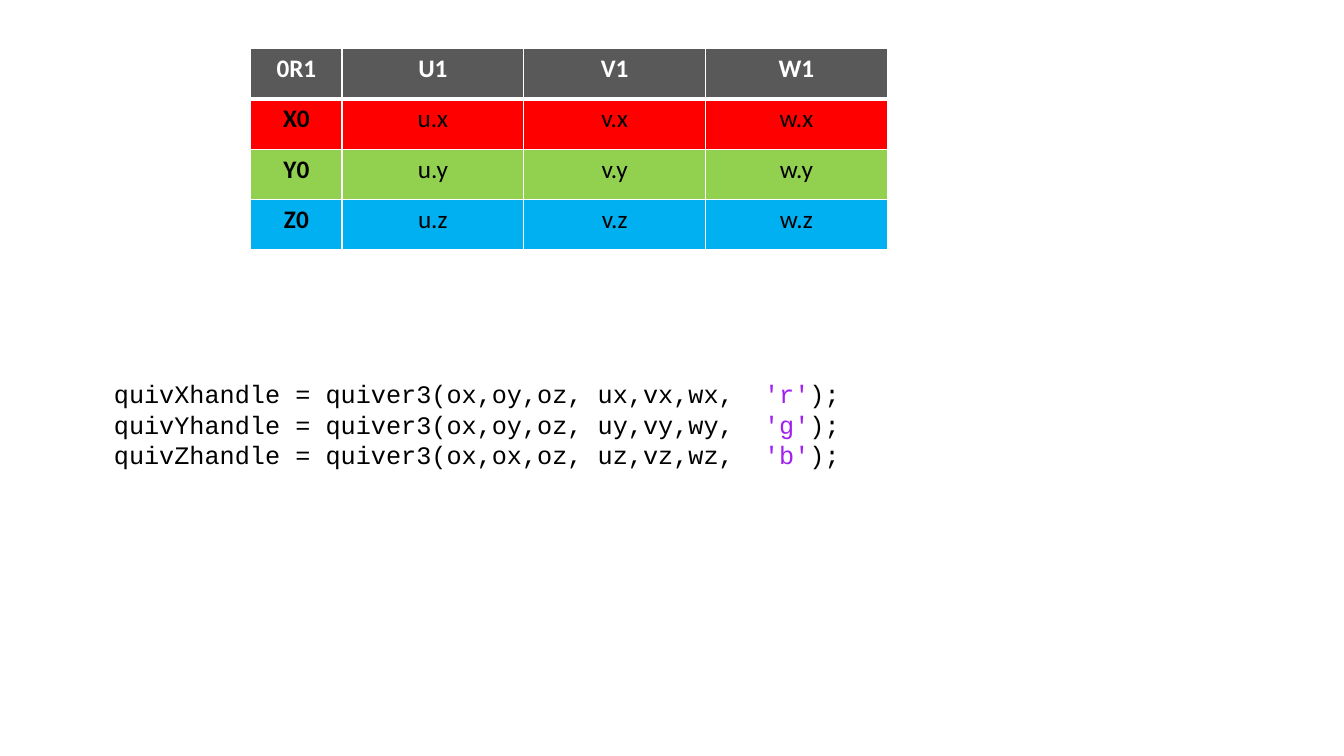
from lxml.etree import SubElement
from pptx import Presentation
from pptx.dml.color import RGBColor
from pptx.enum.text import MSO_AUTO_SIZE, PP_ALIGN
from pptx.oxml.ns import qn
from pptx.util import Cm, Pt

WHITE = RGBColor(0xFF, 0xFF, 0xFF)
BLACK = RGBColor(0x00, 0x00, 0x00)
GREY = RGBColor(0x59, 0x59, 0x59)
RED = RGBColor(0xFF, 0x00, 0x00)
GREEN = RGBColor(0x92, 0xD0, 0x50)
BLUE = RGBColor(0x00, 0xB0, 0xF0)
PURPLE = RGBColor(0xA0, 0x20, 0xF0)


class SlideBuilder:
    size = Pt(18)
    table_font = "Calibri"
    code_font = "Courier New"

    def __init__(self, slide):
        self.slide = slide

    def run(self, p, text, font, color, bold=False):
        r = p.add_run()
        r.text = text
        r.font.name = font
        r.font.size = self.size
        r.font.bold = bold
        r.font.color.rgb = color

    def border(self, cell, side, width):
        ln = SubElement(cell._tc.get_or_add_tcPr(), qn(f"a:ln{side}"), w=str(Pt(width)))
        fill = SubElement(ln, qn("a:solidFill"))
        SubElement(fill, qn("a:srgbClr"), val=str(WHITE))

    def table(self, left, top, widths, row_height, rows, fills):
        sp = self.slide.shapes.add_table(
            len(rows), len(widths), Cm(left), Cm(top),
            Cm(sum(widths)), Cm(row_height * len(rows)))
        table = sp.table
        for column, width in zip(table.columns, widths):
            column.width = Cm(width)
        for i, (texts, fill) in enumerate(zip(rows, fills)):
            table.rows[i].height = Cm(row_height)
            for j, text in enumerate(texts):
                cell = table.cell(i, j)
                for side in "LRTB":
                    under_header = (i, side) in ((0, "B"), (1, "T"))
                    self.border(cell, side, 3 if under_header else 1)
                cell.fill.solid()
                cell.fill.fore_color.rgb = fill
                p = cell.text_frame.paragraphs[0]
                p.alignment = PP_ALIGN.CENTER
                color = WHITE if i == 0 else BLACK
                self.run(p, text, self.table_font, color, i == 0 or j == 0)

    def code(self, left, top, width, height, lines):
        sp = self.slide.shapes.add_textbox(Cm(left), Cm(top), Cm(width), Cm(height))
        tf = sp.text_frame
        tf.word_wrap = True
        tf.auto_size = MSO_AUTO_SIZE.SHAPE_TO_FIT_TEXT
        for i, (call, color_arg) in enumerate(lines):
            p = tf.paragraphs[0] if i == 0 else tf.add_paragraph()
            self.run(p, call, self.code_font, BLACK)
            self.run(p, color_arg, self.code_font, PURPLE)
            self.run(p, ");", self.code_font, BLACK)


def main():
    prs = Presentation()
    prs.slide_width, prs.slide_height = Cm(33.87), Cm(19.05)
    builder = SlideBuilder(prs.slides.add_slide(prs.slide_layouts[6]))
    rotation_rows = [["0R1", "U1", "V1", "W1"]] + [
        [f"{axis.upper()}0"] + [f"{vector}.{axis}" for vector in "uvw"] for axis in "xyz"]
    builder.table(6.32, 1.22, [2.3] + [4.58] * 3, 1.27,
                  rotation_rows, [GREY, RED, GREEN, BLUE])
    builder.code(2.24, 9.42, 21.23, 2.57, [
        (" quivXhandle = quiver3(ox,oy,oz, ux,vx,wx,  ", "'r'"),
        (" quivYhandle = quiver3(ox,oy,oz, uy,vy,wy,  ", "'g'"),
        (" quivZhandle = quiver3(ox,ox,oz, uz,vz,wz,  ", "'b'"),
    ])
    prs.save("out.pptx")


if __name__ == "__main__":
    main()
